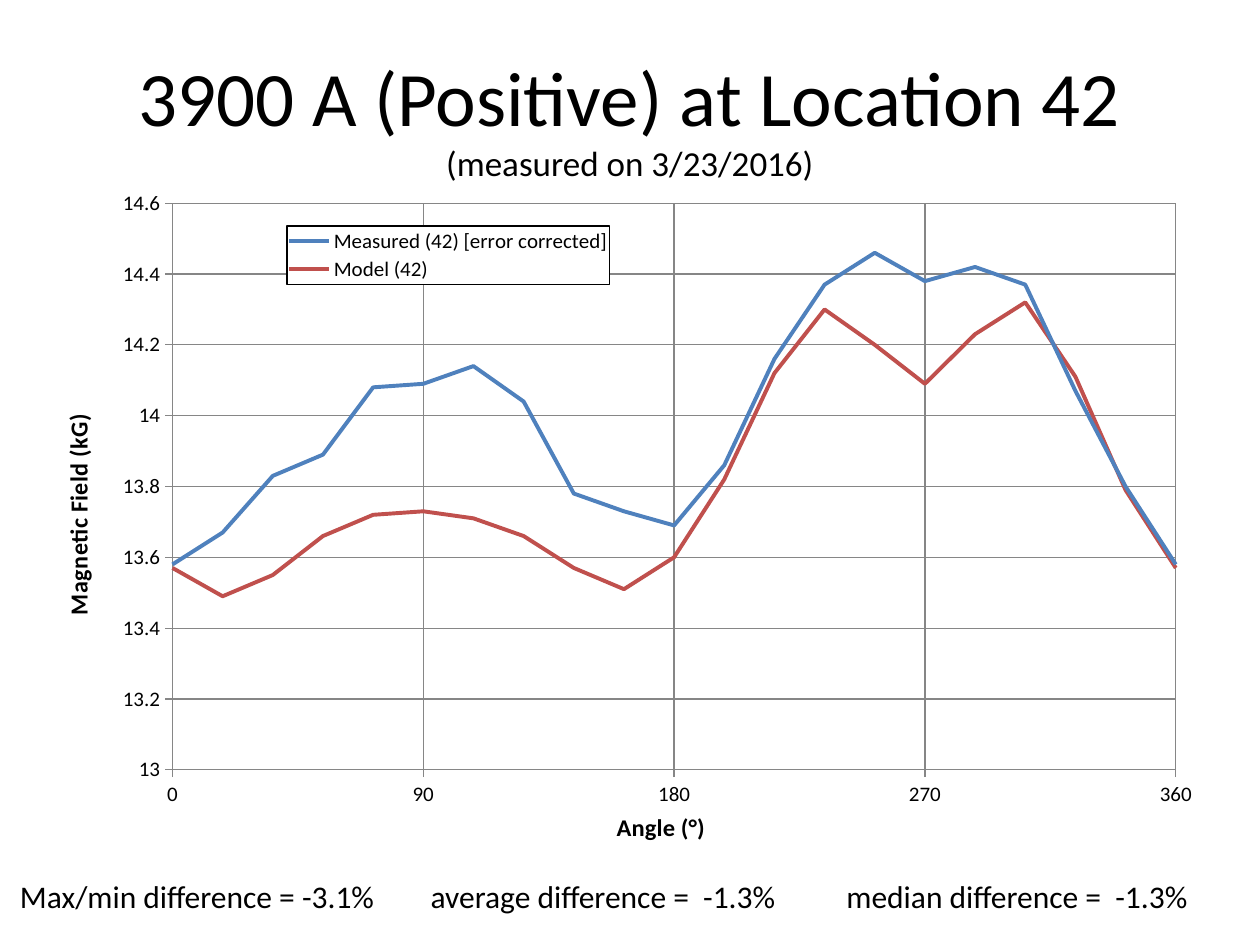
from dataclasses import dataclass

from pptx import Presentation, chart as _chart
from pptx import util as u
from pptx.chart import data
from pptx.dml.color import RGBColor
from pptx.enum import chart as ch, text
from pptx.oxml import parse_xml
from pptx.oxml.ns import nsdecls, qn


@dataclass(frozen=True)
class Theme:
    font: str = "Calibri"
    ink: str = "000000"
    paper: str = "FFFFFF"
    grid: str = "868686"
    lines: tuple = ("4F81BD", "C0504D")
    title: int = 44
    sub: int = 20
    note: int = 18
    name: int = 14
    tick: int = 12


ANGLES = range(0, 361, 18)
FIELDS = {
    "Measured (42) [error corrected]": (
        13.58, 13.67, 13.83, 13.89, 14.08, 14.09, 14.14,
        14.04, 13.78, 13.73, 13.69, 13.86, 14.16, 14.37,
        14.46, 14.38, 14.42, 14.37, 14.07, 13.8, 13.58),
    "Model (42)": (
        13.57, 13.49, 13.55, 13.66, 13.72, 13.73, 13.71,
        13.66, 13.57, 13.51, 13.6, 13.82, 14.12, 14.3,
        14.2, 14.09, 14.23, 14.32, 14.11, 13.79, 13.57),
}


def place(node, index, inner=False, **share):
    """Fix a chart part by shares of the chart area, at its schema index."""
    for old in node.findall(qn("c:layout")):
        node.remove(old)
    target = '<c:layoutTarget val="inner"/>' if inner else ""
    modes = '<c:xMode val="edge"/><c:yMode val="edge"/>'
    sizes = "".join(f'<c:{key} val="{val}"/>' for key, val in share.items())
    node.insert(index, parse_xml(
        f'<c:layout {nsdecls("c")}><c:manualLayout>{target}{modes}{sizes}'
        "</c:manualLayout></c:layout>"))


class Deck:
    """Holds the theme and the current slide."""

    def __init__(self, theme):
        self.theme = theme
        self.prs = Presentation()
        self.prs.slide_width, self.prs.slide_height = u.Inches(10), u.Inches(7.5)
        self.slide = self.prs.slides.add_slide(self.prs.slide_layouts[5])

    def style(self, font, size, bold=False):
        font.name, font.size, font.bold = self.theme.font, u.Pt(size), bold
        font.color.rgb = RGBColor.from_string(self.theme.ink)

    def title(self, head, sub, *box):
        shape = self.slide.shapes.title
        shape.left, shape.top, shape.width, shape.height = map(u.Inches, box)
        frame = shape.text_frame
        frame.text = f"{head}\v{sub}"
        frame.vertical_anchor = text.MSO_ANCHOR.MIDDLE
        par = frame.paragraphs[0]
        par.alignment = text.PP_ALIGN.CENTER
        for run, size in zip(par.runs, (self.theme.title, self.theme.sub)):
            self.style(run.font, size)

    def notes(self, parts, stops, *box):
        """Set parts on one line, each after the first at its tab stop."""
        frame = self.slide.shapes.add_textbox(*map(u.Inches, box)).text_frame
        frame.word_wrap = True
        frame.auto_size = text.MSO_AUTO_SIZE.SHAPE_TO_FIT_TEXT
        par = frame.paragraphs[0]
        par.text = "\t".join(parts)
        tabs = "".join(f'<a:tab pos="{u.Inches(s)}" algn="l"/>' for s in stops)
        par._p.get_or_add_pPr().append(
            parse_xml(f'<a:tabLst {nsdecls("a")}>{tabs}</a:tabLst>'))
        for run in par.runs:
            self.style(run.font, self.theme.note)

    def axis(self, axis, name, low, high, step, spot, turn=0):
        axis.minimum_scale, axis.maximum_scale = low, high
        axis.major_unit = step
        axis.has_major_gridlines = True
        axis.major_tick_mark = ch.XL_TICK_MARK.OUTSIDE
        axis.minor_tick_mark = ch.XL_TICK_MARK.NONE
        axis.tick_labels.number_format = "General"
        axis.tick_labels.number_format_is_linked = False
        self.style(axis.tick_labels.font, self.theme.tick)
        for line in (axis.format.line, axis.major_gridlines.format.line):
            line.color.rgb = RGBColor.from_string(self.theme.grid)
            line.width = u.Pt(0.75)
        frame = axis.axis_title.text_frame
        frame.text = name
        self.style(frame.paragraphs[0].runs[0].font, self.theme.name, True)
        frame._txBody.bodyPr.set("rot", str(turn * 60000))
        place(axis.axis_title._element, 1, x=spot[0], y=spot[1])

    def legend(self, chart, **share):
        chart.has_legend = True
        legend = chart.legend
        legend.position = ch.XL_LEGEND_POSITION.RIGHT
        legend.include_in_layout = False
        self.style(legend.font, self.theme.tick)
        node = legend._element
        place(node, 1, **share)
        fills = [f'<a:solidFill><a:srgbClr val="{c}"/></a:solidFill>'
                 for c in (self.theme.paper, self.theme.ink)]
        node.find(qn("c:txPr")).addprevious(parse_xml(
            f'<c:spPr {nsdecls("c", "a")}>{fills[0]}'
            f'<a:ln w="{u.Pt(0.75)}">{fills[1]}</a:ln></c:spPr>'))

    def graph(self, xs, fields, *box):
        source = data.XyChartData()
        for name, ys in fields.items():
            series = source.add_series(name)
            for x, y in zip(xs, ys):
                series.add_data_point(x, y)
        chart = self.slide.shapes.add_chart(
            ch.XL_CHART_TYPE.XY_SCATTER_LINES_NO_MARKERS,
            *map(u.Inches, box), source).chart
        chart.has_title = False
        self.style(chart.font, 10)
        plot = chart.plots[0]
        plot.vary_by_categories = False
        for series, color in zip(plot.series, self.theme.lines):
            series.smooth = False
            series.marker.style = ch.XL_MARKER_STYLE.NONE
            series.format.line.color.rgb = RGBColor.from_string(color)
            series.format.line.width = u.Pt(2.25)
        place(chart._chartSpace.chart.plotArea, 0, True,
              x=0.117, y=0.022, w=0.84, h=0.872)
        return chart


def main():
    deck = Deck(Theme())
    deck.title("3900 A (Positive) at Location 42", "(measured on 3/23/2016)",
               0.5, 0.3, 9, 1.25)
    deck.notes(("Max/min difference = -3.1%", "average difference =  -1.3%",
                "median difference =  -1.3%"), (3.26, 6.56),
               0.06, 6.91, 9.94, 0.4)
    chart = deck.graph(ANGLES, FIELDS, 0.26, 1.5, 9.48, 5.25)
    deck.axis(chart.category_axis, "Angle (°)", 0, 360, 90, (0.485, 0.95))
    deck.axis(chart.value_axis, "Magnetic Field (kG)", 13, 14.6, 0.2,
              (0.02, 0.345), -90)
    deck.legend(chart, x=0.213, y=0.057, w=0.27, h=0.09)
    deck.prs.save("out.pptx")


if __name__ == "__main__":
    main()
